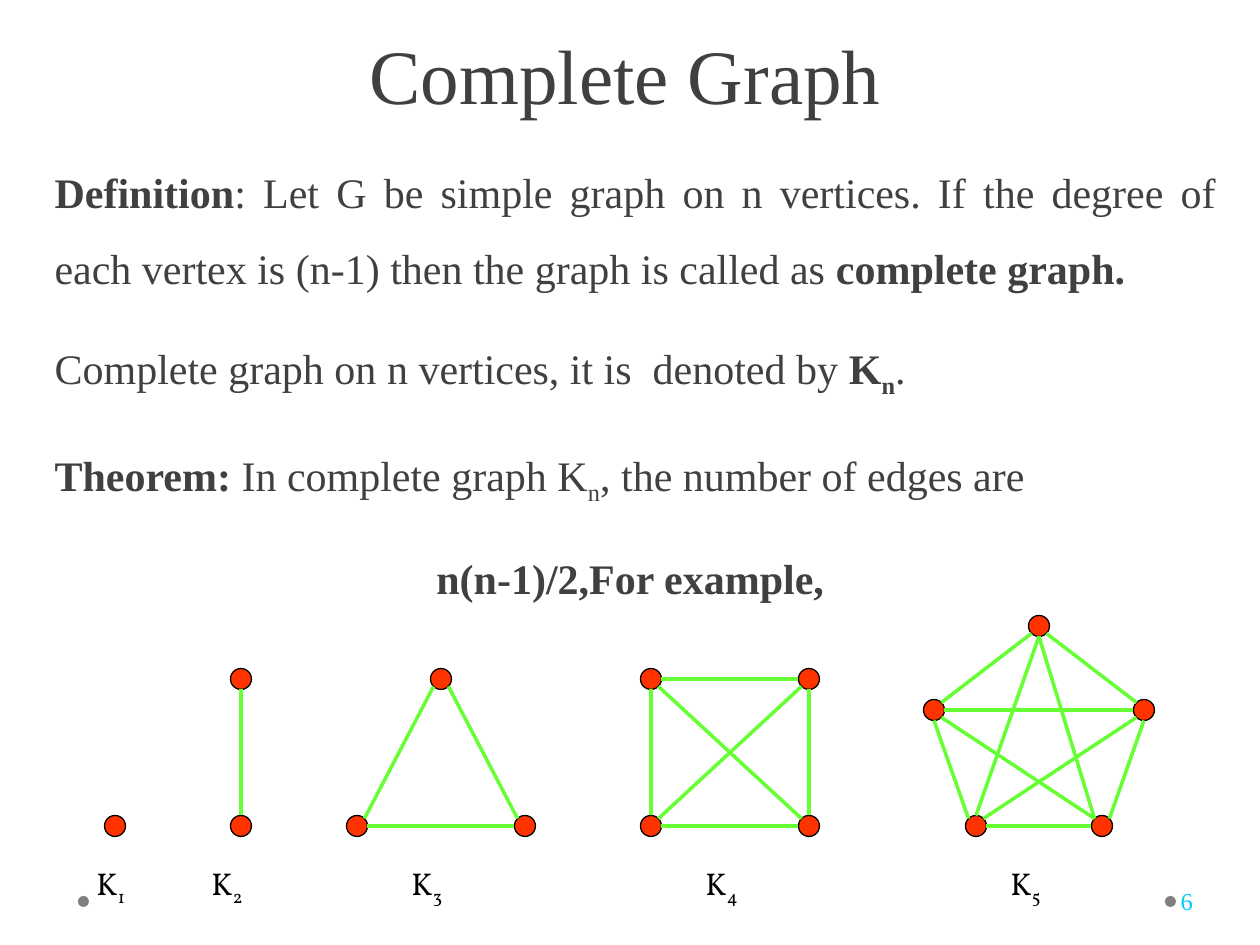
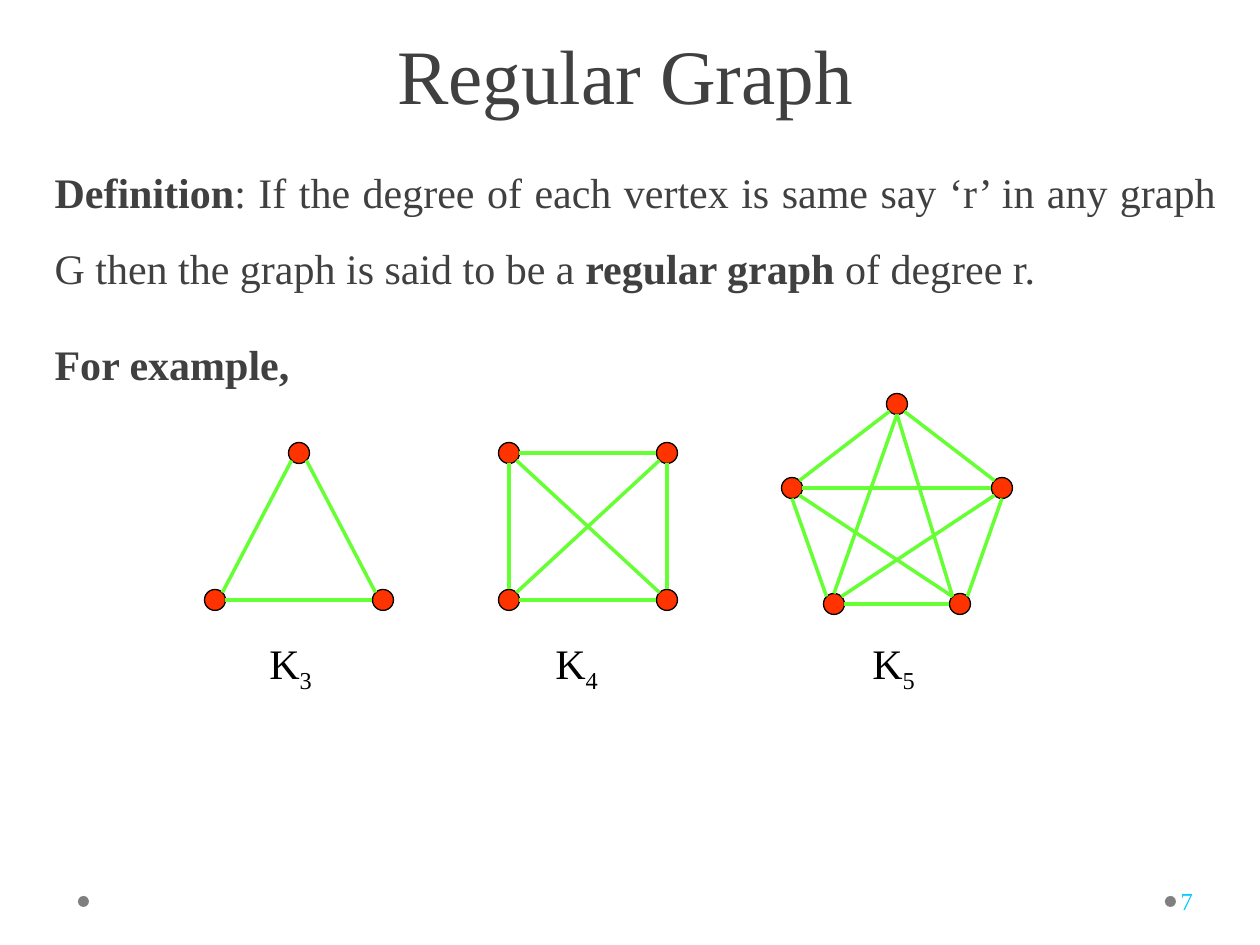
from itertools import combinations
from math import atan2, cos, pi, sin

from lxml.etree import SubElement
from pptx import Presentation
from pptx.dml.color import RGBColor
from pptx.enum.shapes import MSO_CONNECTOR as CONN, MSO_SHAPE as SHAPE
from pptx.enum.text import MSO_ANCHOR as ANCHOR, MSO_AUTO_SIZE as AUTO, PP_ALIGN as ALIGN
from pptx.oxml.ns import qn
from pptx.util import Inches, Pt

INK = RGBColor(0x40, 0x40, 0x40)
BLACK = RGBColor(0, 0, 0)
GREY = RGBColor(0x7F, 0x7F, 0x7F)
CYAN = RGBColor(0, 0xCC, 0xFF)
VERTEX = RGBColor(0xFF, 0x33, 0)
EDGE = RGBColor(0x66, 0xFF, 0x33)
SERIF, LABEL_SERIF = "Times New Roman", "Vollkorn"

PX = Inches(1) // 126
DOT = 21  # vertex diameter
TITLE_BOX = (32, 0, 1187, 126)
BODY_BOX = (42, 135, 1187, 725)
NUMBER_BOX = (1177, 876, 77, 50)
FOOTER_DOTS = [(1165, 896, 11, 11), (78, 896, 11, 11)]
LABEL_SIZE = (84, 55)

# Vertices of each complete graph, relative to its first (bottom left) vertex
GRAPHS = {
    1: [(0, 0)],
    2: [(0, 0), (0, -147)],
    3: [(0, 0), (168, 0), (84, -147)],
    4: [(0, 0), (158, 0), (0, -147), (158, -147)],
    5: [(0, 0), (126, 0), (-42, -116), (168, -116), (63, -200)],
}
# Edges of K5 that meet a vertex off their own direction:
# (graph, vertex, other vertex) -> eighth of a turn, clockwise from the right
SITES = {(5, 0, 2): 5, (5, 1, 3): 7, (5, 1, 4): 5}

# A run is text and style: b bold, _ subscript
SLIDES = [
    dict(
        number="6",
        title="Complete Graph",
        body=[
            (ALIGN.JUSTIFY, [
                ("Definition", "b"),
                (": Let G be simple graph on n vertices. If the degree of each vertex is (n-1) "
                 "then the graph is called as ", ""),
                ("complete graph.", "b")]),
            (ALIGN.JUSTIFY, [
                ("Complete graph on n vertices, it is  denoted by ", ""),
                ("K", "b"), ("n", "b_"), (".", "")]),
            (ALIGN.JUSTIFY, [
                ("Theorem:", "b"), (" In complete graph K", ""), ("n", "_"),
                (", the number of edges are", "")]),
            (ALIGN.CENTER, [("n(n-1)/2,For example, ", "b")]),
        ],
        label_font=dict(name=LABEL_SERIF, size=Pt(18)),
        label_top=858,
        # order, first vertex, label left
        graphs=[(1, (115, 826), 84), (2, (241, 826), 199), (3, (357, 826), 399),
                (4, (651, 826), 693), (5, (976, 826), 998)],
    ),
    dict(
        number="7",
        title="Regular Graph",
        body=[
            (ALIGN.JUSTIFY, [
                ("Definition", "b"),
                (": If the degree of each vertex is same say ‘r’ in any graph G "
                 "then the graph is said to be a ", ""),
                ("regular graph ", "b"), ("of degree r.", "")]),
            (ALIGN.JUSTIFY, [("For example, ", "b")]),
        ],
        label_font=dict(name=SERIF, size=Pt(24)),
        label_top=631,
        graphs=[(3, (215, 600), 257), (4, (509, 600), 543), (5, (834, 604), 860)],
    ),
]


def px(*lengths):
    return [round(v * PX) for v in lengths]


def set_all(obj, **values):
    for name, value in values.items():
        setattr(obj, name, value)


def place(sp, box):
    set_all(sp, **dict(zip(("left", "top", "width", "height"), px(*box))))


def add_runs(p, runs, color, **font):
    for text, style in runs:
        r = p.add_run()
        r.text = text
        set_all(r.font, bold="b" in style, **font)
        r.font.color.rgb = color
        if "_" in style:
            r._r.get_or_add_rPr().set("baseline", "-25000")


def add_dot(shapes, kind, box, fill, line=None):
    sp = shapes.add_shape(kind, *px(*box))
    sp.shadow.inherit = False
    sp.fill.solid()
    sp.fill.fore_color.rgb = fill
    if line is None:
        sp.line.fill.background()
    else:
        sp.line.color.rgb = line
        sp.line.width = Pt(0.75)


def rim(order, a, b, points):
    """Point on the rim of vertex a, at the eighth of a turn facing vertex b."""
    (xa, ya), (xb, yb) = points[a], points[b]
    eighth = SITES.get((order, a, b), round(atan2(yb - ya, xb - xa) / (pi / 4)))
    angle = eighth * pi / 4
    return xa + DOT / 2 * cos(angle), ya + DOT / 2 * sin(angle)


def add_graph(s, order, origin):
    points = [(origin[0] + dx, origin[1] + dy) for dx, dy in GRAPHS[order]]
    shapes = s.shapes.add_group_shape().shapes if order > 1 else s.shapes
    for x, y in points:
        add_dot(shapes, SHAPE.FLOWCHART_CONNECTOR,
                (x - DOT / 2, y - DOT / 2, DOT, DOT), VERTEX, BLACK)
    for a, b in combinations(range(order), 2):
        ends = rim(order, a, b, points) + rim(order, b, a, points)
        edge = shapes.add_connector(CONN.STRAIGHT, *px(*ends))
        edge.line.color.rgb = EDGE
        edge.line.width = Pt(2)
        SubElement(edge._element.spPr, qn("a:effectLst"))


def add_text(s, box, runs, color, font, **frame):
    tf = s.shapes.add_textbox(*px(*box)).text_frame
    set_all(tf, word_wrap=True, **frame)
    add_runs(tf.paragraphs[0], runs, color, **font)


def fill_title(sp, text):
    place(sp, TITLE_BOX)
    tf = sp.text_frame
    set_all(tf, vertical_anchor=ANCHOR.BOTTOM, auto_size=AUTO.NONE)
    p = tf.paragraphs[0]
    set_all(p, alignment=ALIGN.CENTER, line_spacing=Pt(58))
    add_runs(p, [(text, "")], INK, name=SERIF, size=Pt(44))


def fill_body(sp, paragraphs):
    place(sp, BODY_BOX)
    tf = sp.text_frame
    set_all(tf, vertical_anchor=ANCHOR.TOP, auto_size=AUTO.NONE)
    for i, (align, runs) in enumerate(paragraphs):
        p = tf.add_paragraph() if i else tf.paragraphs[0]
        pPr = p._p.get_or_add_pPr()
        pPr.set("marL", "0")
        pPr.set("indent", "0")
        SubElement(pPr, qn("a:buNone"))
        set_all(p, alignment=align, line_spacing=1.5,
                space_before=Pt(6 if i else 0), space_after=Pt(6))
        add_runs(p, runs, INK, name=SERIF, size=Pt(24))


def add_footer(s, number):
    for box in FOOTER_DOTS:
        add_dot(s.shapes, SHAPE.OVAL, box, GREY)
    add_text(s, NUMBER_BOX, [(number, "")], CYAN, dict(name=SERIF, size=Pt(14)),
             vertical_anchor=ANCHOR.MIDDLE, margin_left=Inches(0.03),
             margin_right=Inches(0.05))


def main():
    prs = Presentation()
    set_all(prs, slide_width=Inches(10), slide_height=Inches(7.5))
    for page in SLIDES:
        s = prs.slides.add_slide(prs.slide_layouts[1])
        fill_title(s.shapes.title, page["title"])
        fill_body(s.placeholders[1], page["body"])
        add_footer(s, page["number"])
        for order, origin, label_left in page["graphs"]:
            add_graph(s, order, origin)
            add_text(s, (label_left, page["label_top"], *LABEL_SIZE),
                     [("K", ""), (str(order), "_")], BLACK, page["label_font"])
    prs.save("out.pptx")


if __name__ == "__main__":
    main()
